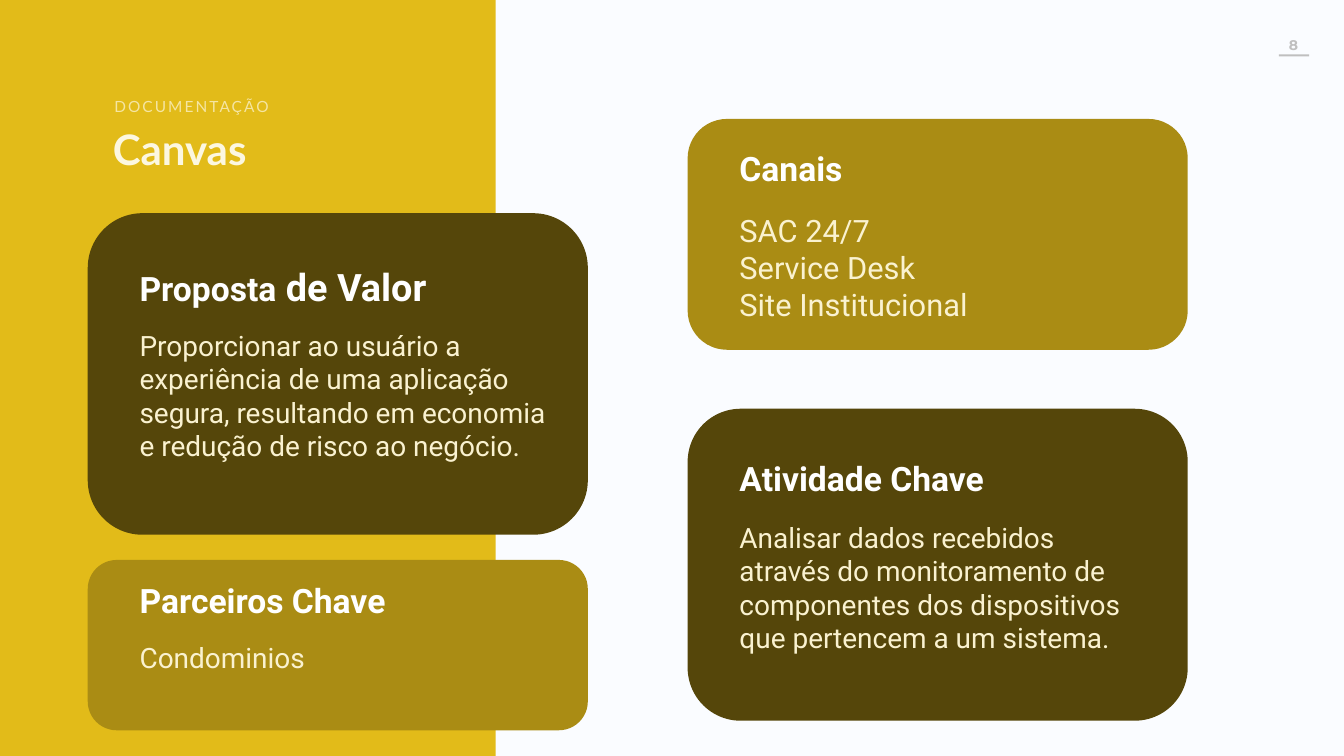
from pptx import Presentation
from pptx.dml.color import RGBColor
from pptx.enum.shapes import MSO_SHAPE
from pptx.enum.text import PP_ALIGN
from pptx.util import Pt

RECT, ROUNDED = MSO_SHAPE.RECTANGLE, MSO_SHAPE.ROUNDED_RECTANGLE
CENTER = PP_ALIGN.CENTER
PX = 9144  # EMU per px, 100 px to the inch

COLORS = {
    "background": "FAFCFF", "panel": "E2BB19", "dark": "55460A", "gold": "AA8C14",
    "title": "FCF7E0", "kicker": "F5E5A2", "heading": "FFFFFF", "body": "FAF2D0",
    "number": "BFBFBF",
}

# Cards: left, top, height, colour, heading runs (text, size),
# heading top, heading height, body lines, body size, body top, body height
CARDS = [
    (174, 423, 638, "dark", [("Proposta", 48), (" de Valor", 54)], 518, 190,
     ["Proporcionar ao usuário a experiência de uma aplicação segura, "
      "resultando em economia e redução de risco ao negócio."], 40, 646, 343),
    (174, 1111, 338, "gold", [("Parceiros Chave", 48)], 1146, 90,
     ["Condominios"], 40, 1265, 77),
    (1364, 811, 619, "dark", [("Atividade Chave", 48)], 903, 87,
     ["Analisar dados recebidos através do monitoramento de componentes "
      "dos dispositivos que pertencem a um sistema."], 40, 1027, 333),
    (1364, 236, 458, "gold", [("Canais", 48)], 288, 90,
     ["SAC 24/7", "Service Desk", "Site Institucional"], 44, 415, 230),
]
CARD_W, HEADING_W, BODY_W, CARD_INDENT = 992, 669, 836, 93
TITLE_W = 356


def rgb(name):
    return RGBColor.from_string(COLORS[name])


def add_block(s, kind, x, y, w, h, color):
    sp = s.shapes.add_shape(kind, x * PX, y * PX, w * PX, h * PX)
    sp.shadow.inherit = False
    sp.fill.solid()
    sp.fill.fore_color.rgb = rgb(color)
    sp.line.fill.background()
    return sp


def add_text(s, x, y, w, h, paragraphs, font, color, bold=False):
    """Each paragraph is a list of (text, size) runs."""
    tf = s.shapes.add_textbox(x * PX, y * PX, w * PX, h * PX).text_frame
    tf.word_wrap = True
    for i, runs in enumerate(paragraphs):
        p = tf.add_paragraph() if i else tf.paragraphs[0]
        for text, size in runs:
            r = p.add_run()
            r.text = text
            r.font.name, r.font.size, r.font.bold = font, Pt(size), bold
            r.font.color.rgb = rgb(color)
    return tf


prs = Presentation()
prs.slide_width, prs.slide_height = 2666 * PX, 1500 * PX
s = prs.slides.add_slide(prs.slide_layouts[6])
s.background.fill.solid()
s.background.fill.fore_color.rgb = rgb("background")

# Page number
tf = add_text(s, 2453, 67, 226, 43, [[("8", 20)]], "Montserrat", "number", True)
tf.paragraphs[0].alignment = CENTER
add_block(s, RECT, 2537, 108, 60, 4, "number")

# Side panel and title
add_block(s, RECT, -9, 0, 992, 1500, "panel")
add_text(s, 214, 241, TITLE_W, 110, [[("Canvas", 60)]], "Lato", "title", True)
tf = add_text(s, 217, 188, TITLE_W, 47, [[("DOCUMENTAÇÃO", 22)]], "Lato", "kicker")
tf.paragraphs[0].runs[0].font._element.set("spc", "300")

# Cards
for x, y, h, color, heading, head_y, head_h, lines, size, body_y, body_h in CARDS:
    card = add_block(s, ROUNDED, x, y, CARD_W, h, color)
    card.adjustments[0] = 0.17
    text_x = x + CARD_INDENT
    add_text(s, text_x, head_y, HEADING_W, head_h, [heading], "Roboto", "heading", True)
    add_text(s, text_x, body_y, BODY_W, body_h,
             [[(line, size)] for line in lines], "Roboto", "body")

prs.save("out.pptx")
